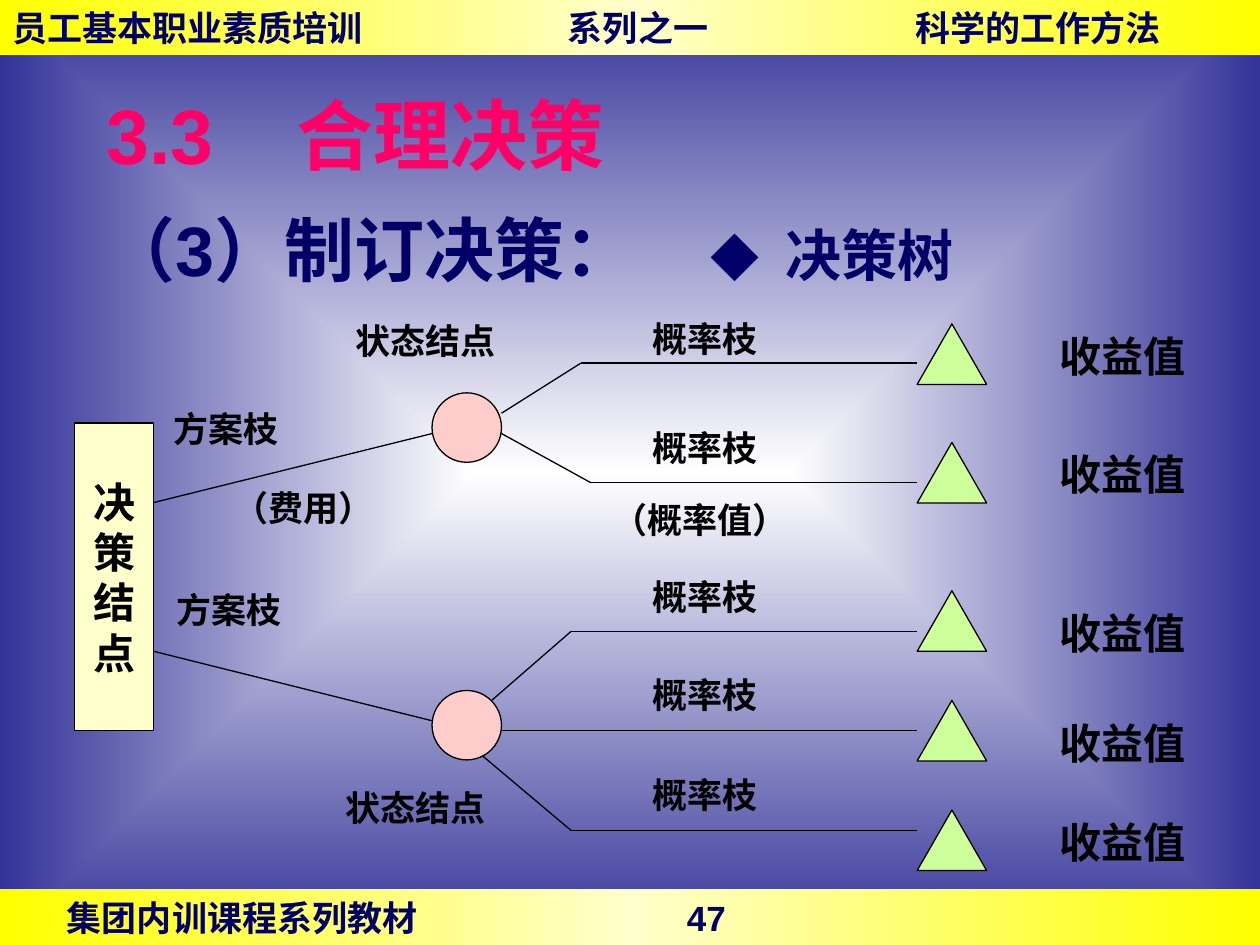
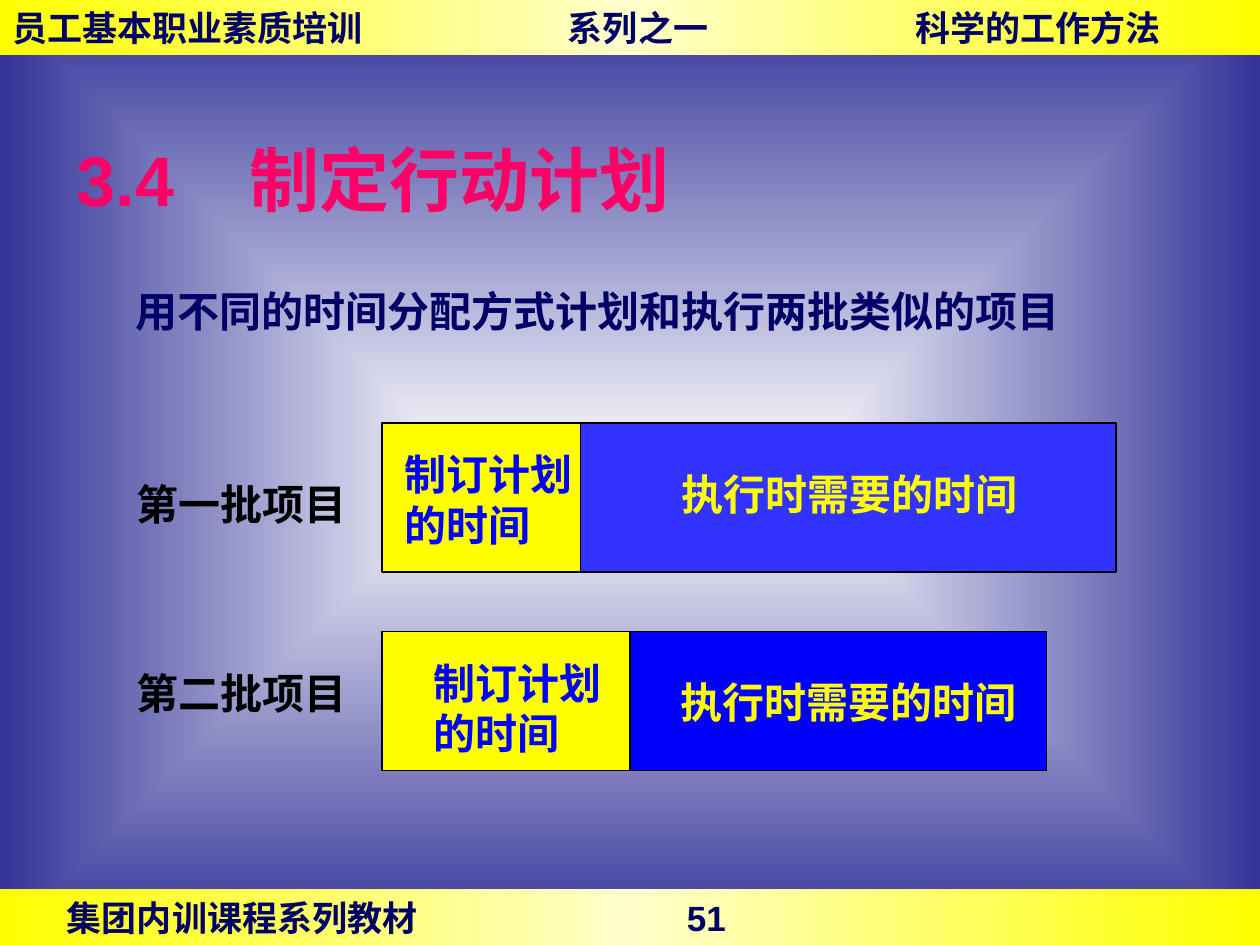
from itertools import pairwise

from lxml.etree import SubElement
from pptx import Presentation
from pptx.dml.color import RGBColor
from pptx.enum.shapes import MSO_CONNECTOR, MSO_SHAPE
from pptx.enum.text import MSO_ANCHOR, PP_ALIGN
from pptx.oxml import parse_xml
from pptx.oxml.ns import nsdecls, qn
from pptx.util import Cm, Pt

# Shared look
WIDE, HIGH, BAND = 25.4, 19.05, 1.12
NAVY, PINK, BLACK = "000066", "FF0066", "000000"
YELLOW, BLUE = "FFFF00", "0000FF"
GLOW = '<a:path path="rect"><a:fillToRect l="50000" t="50000" r="50000" b="50000"/></a:path>'
ACROSS = '<a:lin ang="0" scaled="1"/>'
POINT = 2.54 / 72  # cm in one point


def tint(code):
    return RGBColor.from_string(code)


def blend(owner, stops, way):
    """Replace the first empty fill of an element by a gradient."""
    marks = "".join(f'<a:gs pos="{at * 1000}"><a:srgbClr val="{code}"/></a:gs>'
                    for at, code in stops)
    grad = parse_xml(f'<a:gradFill {nsdecls("a")} rotWithShape="1">'
                     f"<a:gsLst>{marks}</a:gsLst>{way}</a:gradFill>")
    blank = owner.find(".//" + qn("a:noFill"))
    blank.getparent().replace(blank, grad)


# Text
def write(frame, paras, code, tabs=(), space=None, wrap=True,
          anchor=MSO_ANCHOR.TOP, align=PP_ALIGN.LEFT):
    """Each paragraph is a list of (text, size) runs; tabs are in cm."""
    for key, value in {"word_wrap": wrap, "vertical_anchor": anchor}.items():
        setattr(frame, key, value)
    for num, runs in enumerate(paras):
        para = frame.add_paragraph() if num else frame.paragraphs[0]
        for key, value in {"alignment": align, "line_spacing": space}.items():
            setattr(para, key, value)
        if tabs:
            stops = SubElement(para._p.get_or_add_pPr(), qn("a:tabLst"))
            for stop in tabs:
                SubElement(stops, qn("a:tab"), pos=str(Cm(stop)), algn="l")
        for text, size in runs:
            run = para.add_run()
            run.text = text
            look = {"name": "Arial", "size": Pt(size), "bold": True}
            for key, value in look.items():
                setattr(run.font, key, value)
            run.font.color.rgb = tint(code)


def textbox(slide, box, paras, code, **style):
    shape = slide.shapes.add_textbox(*map(Cm, box))
    write(shape.text_frame, paras, code, **style)


def label(slide, text, left, top, size=20, code=BLACK):
    """Place a box that fits its full-width characters."""
    lines = text.split("\n")
    width = max(map(len, lines)) * size * POINT + 0.51
    height = len(lines) * size * 1.2 * POINT + 0.25
    textbox(slide, (left, top, width, height),
            [[(line, size)] for line in lines], code, wrap=False)


def title(slide, text, box, size, tab):
    textbox(slide, box, [[(text, size)]], PINK, tabs=[tab], anchor=MSO_ANCHOR.MIDDLE)


# Shapes and lines
def shape(slide, kind, box, code):
    item = slide.shapes.add_shape(kind, *map(Cm, box))
    item.shadow.inherit = False
    item.fill.solid()
    item.fill.fore_color.rgb = tint(code)
    item.line.color.rgb = tint(BLACK)
    item.line.width = Pt(0.75)
    return item


def route(slide, *points):
    for start, end in pairwise(points):
        line = slide.shapes.add_connector(MSO_CONNECTOR.STRAIGHT, *map(Cm, start + end))
        line.line.color.rgb = tint(BLACK)
        line.line.width = Pt(0.75)
        SubElement(line._element.spPr, qn("a:effectLst"))


def band(slide, top, text, tabs):
    item = shape(slide, MSO_SHAPE.RECTANGLE, (0, top, WIDE, BAND), YELLOW)
    item.fill.background()
    item.line.fill.background()
    blend(item._element, [(0, YELLOW), (50, "FFFFCC"), (100, YELLOW)], ACROSS)
    write(item.text_frame, [[(text, 20)]], NAVY, tabs=tabs, anchor=MSO_ANCHOR.MIDDLE)


def page(deck, number):
    slide = deck.slides.add_slide(deck.slide_layouts[6])
    slide.background.fill.background()
    blend(slide.element, [(0, "FFFFFF"), (100, "333399")], GLOW)
    band(slide, HIGH - BAND, f"\t集团内训课程系列教材\t{number}", [1.1, 13.6])
    band(slide, 0, "员工基本职业素质培训\t系列之一\t科学的工作方法", [11.2, 18.2])
    return slide


# Slide with the decision tree
def tree(deck):
    slide = page(deck, 47)
    title(slide, "3.3\t合理决策", (1.9, 1.55, 22.02, 2.3), 44, 3.82)
    textbox(slide, (1.88, 3.53, 19.63, 2.46),
            [[("（3）制订决策：\t", 40), ("◆\t", 28), ("决策树", 32)]],
            NAVY, tabs=[12.2, 13.7], space=1.3)

    root = shape(slide, MSO_SHAPE.RECTANGLE, (1.5, 8.53, 1.6, 6.2), "FFFFCC")
    write(root.text_frame, [[(char, 24)] for char in "决策结点"], BLACK,
          wrap=False, anchor=MSO_ANCHOR.MIDDLE, align=PP_ALIGN.CENTER)
    for top in (7.92, 13.92):
        shape(slide, MSO_SHAPE.OVAL, (8.71, top, 1.4, 1.4), "FFCCCC")
    route(slide, (3.1, 10.13), (8.71, 8.74))
    route(slide, (3.1, 13.13), (8.71, 14.53))

    # Chance branches: points before the tip, then tops of label, tip and value
    tip = 18.49
    rows = [
        ([(10.11, 8.33), (11.71, 7.32)], 6.27, 6.53, 6.53),
        ([(10.11, 8.74), (11.91, 9.73)], 8.48, 8.92, 8.92),
        ([(9.91, 14.12), (11.51, 12.73)], 11.48, 11.91, 12.12),
        ([(10.11, 14.73)], 13.46, 14.12, 14.33),
        ([(9.73, 15.24), (11.51, 16.74)], 15.47, 16.33, 16.33),
    ]
    for points, name, peak, value in rows:
        route(slide, *points, (tip, points[-1][1]))
        shape(slide, MSO_SHAPE.ISOSCELES_TRIANGLE, (tip, peak, 1.4, 1.22), "CCFF99")
        label(slide, "概率枝", 12.9, name)
        label(slide, "收益值", 21.11, value, 24)

    for text, left, top in [
        ("状态结点", 6.91, 6.32), ("方案枝", 3.25, 8.08), ("（费用）", 4.45, 9.68),
        ("（概率值）", 12.09, 9.93), ("方案枝", 3.3, 11.73), ("状态结点", 6.71, 15.72),
    ]:
        label(slide, text, left, top)


# Slide comparing two ways of sharing out time
def plan(deck):
    slide = page(deck, 51)
    title(slide, "3.4\t制定行动计划", (1.3, 2.92, 14, 1.37), 40, 3.49)
    textbox(slide, (2.49, 5.54, 20.4, 1.37),
            [[("用不同的时间分配方式计划和执行两批类似的项目", 24)]], NAVY, space=1.1)

    # Bars: name and its top, bar top and height, split, end, colour, text places
    start = 7.7
    rows = [
        ("第一批项目", 9.53, 8.53, 3, 11.7, 22.5, "3333FF", (7.9, 8.92), (13.49, 9.32)),
        ("第二批项目", 13.34, 12.73, 2.8, 12.7, 21.1, BLUE, (8.48, 13.13), (13.46, 13.51)),
    ]
    for name, mid, top, high, split, end, code, think, work in rows:
        label(slide, name, 2.5, mid, 24)
        shape(slide, MSO_SHAPE.RECTANGLE, (split, top, end - split, high), code)
        shape(slide, MSO_SHAPE.RECTANGLE, (start, top, split - start, high), YELLOW)
        label(slide, "制订计划\n的时间", *think, 24, BLUE)
        label(slide, "执行时需要的时间", *work, 24, YELLOW)


def main():
    deck = Presentation()
    deck.slide_width, deck.slide_height = Cm(WIDE), Cm(HIGH)
    tree(deck)
    plan(deck)
    deck.save("out.pptx")


if __name__ == "__main__":
    main()
